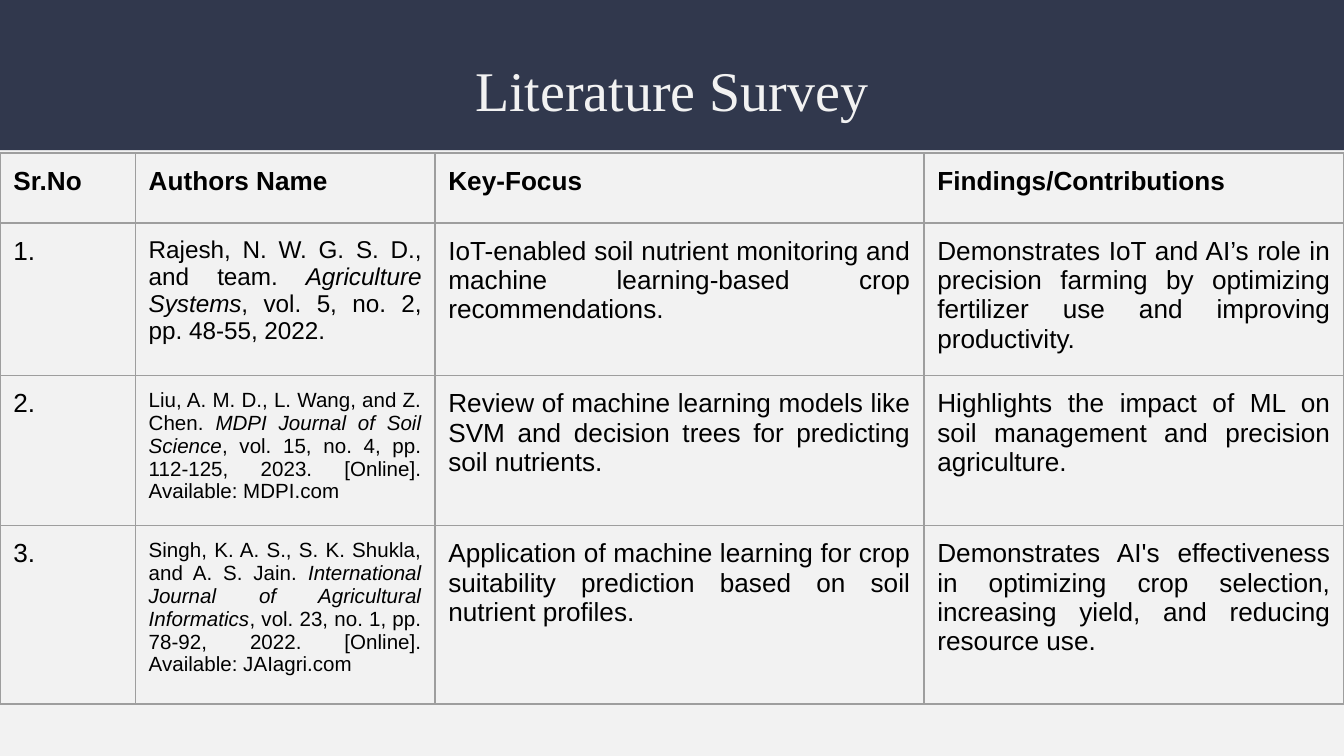
from lxml import etree
from pptx import Presentation
from pptx import util as u
from pptx.dml.color import RGBColor
from pptx.enum import shapes, text
from pptx.oxml import ns

COLORS = {"page": "F2F2F2", "band": "31384D", "text": "000000", "border": "9E9E9E"}


def color(name):
    return RGBColor.from_string(COLORS[name])


def add_borders(cell):
    properties = cell._tc.get_or_add_tcPr()
    for index, side in enumerate(("lnL", "lnR", "lnT", "lnB")):
        line = etree.Element(ns.qn(f"a:{side}"), w=str(u.Pt(0.75)))
        fill = etree.SubElement(line, ns.qn("a:solidFill"))
        etree.SubElement(fill, ns.qn("a:srgbClr"), val=COLORS["border"])
        properties.insert(index, line)


presentation = Presentation()
presentation.slide_width = u.Pt(720)
presentation.slide_height = u.Pt(405)
slide = presentation.slides.add_slide(presentation.slide_layouts[6])
slide.background.fill.solid()
slide.background.fill.fore_color.rgb = color("page")

# Title band
band = slide.shapes.add_shape(shapes.MSO_SHAPE.RECTANGLE, 0, 0, u.Pt(720), u.Pt(80.5))
band.shadow.inherit = False
band.fill.solid()
band.fill.fore_color.rgb = color("band")
band.line.fill.background()

# Title
title = slide.shapes.add_textbox(u.Pt(230), u.Pt(29), u.Pt(260), u.Pt(38))
frame = title.text_frame
frame.word_wrap = True
frame.margin_left = frame.margin_right = frame.margin_bottom = 0
frame.margin_top = u.Pt(1)
paragraph = frame.paragraphs[0]
paragraph.text = "Literature Survey"
paragraph.alignment = text.PP_ALIGN.CENTER
paragraph.font.name = "Times New Roman"
paragraph.font.size = u.Pt(30)
paragraph.font.color.rgb = color("page")

# Survey rows: a tuple holds plain, italic and plain parts of a citation
survey = [
    ["Sr.No", "Authors Name", "Key-Focus", "Findings/Contributions"],
    ["1.",
     ("Rajesh, N. W. G. S. D., and team. ", "Agriculture Systems",
      ", vol. 5, no. 2, pp. 48-55, 2022."),
     "IoT-enabled soil nutrient monitoring and machine learning-based crop recommendations.",
     "Demonstrates IoT and AI’s role in precision farming by optimizing fertilizer use "
     "and improving productivity."],
    ["2.",
     ("Liu, A. M. D., L. Wang, and Z. Chen. ", "MDPI Journal of Soil Science",
      ", vol. 15, no. 4, pp. 112-125, 2023. [Online]. Available: MDPI.com"),
     "Review of machine learning models like SVM and decision trees for predicting "
     "soil nutrients.",
     "Highlights the impact of ML on soil management and precision agriculture."],
    ["3.",
     ("Singh, K. A. S., S. K. Shukla, and A. S. Jain. ",
      "International Journal of Agricultural Informatics",
      ", vol. 23, no. 1, pp. 78-92, 2022. [Online]. Available: JAIagri.com"),
     "Application of machine learning for crop suitability prediction based on soil "
     "nutrient profiles.",
     "Demonstrates AI's effectiveness in optimizing crop selection, increasing yield, "
     "and reducing resource use."],
]
column_widths = [72.5, 160.5, 262, 225]
row_heights = [37.5, 81.5, 80.5, 95.5]
citation_sizes = [14, 13, 11, 11]

# Survey table
table = slide.shapes.add_table(
    len(survey), len(column_widths), 0, u.Pt(82),
    u.Pt(sum(column_widths)), u.Pt(sum(row_heights))).table
table.first_row = table.horz_banding = False
for column, width in zip(table.columns, column_widths):
    column.width = u.Pt(width)

for row_index, entries in enumerate(survey):
    table.rows[row_index].height = u.Pt(row_heights[row_index])
    for column_index, entry in enumerate(entries):
        cell = table.cell(row_index, column_index)
        cell.margin_left = cell.margin_right = u.Pt(7.2)
        cell.margin_top = cell.margin_bottom = u.Pt(7.2)
        cell.fill.background()
        add_borders(cell)

        paragraph = cell.text_frame.paragraphs[0]
        paragraph.alignment = text.PP_ALIGN.JUSTIFY
        size = citation_sizes[row_index] if column_index == 1 else 14
        paragraph.font.name = "Arial"
        paragraph.font.size = u.Pt(size)
        paragraph.font.bold = row_index == 0
        paragraph.font.color.rgb = color("text")
        parts = entry if isinstance(entry, tuple) else (entry,)
        for part_index, part in enumerate(parts):
            run = paragraph.add_run()
            run.text = part
            if part_index == 1:
                run.font.italic = True

presentation.save("out.pptx")
